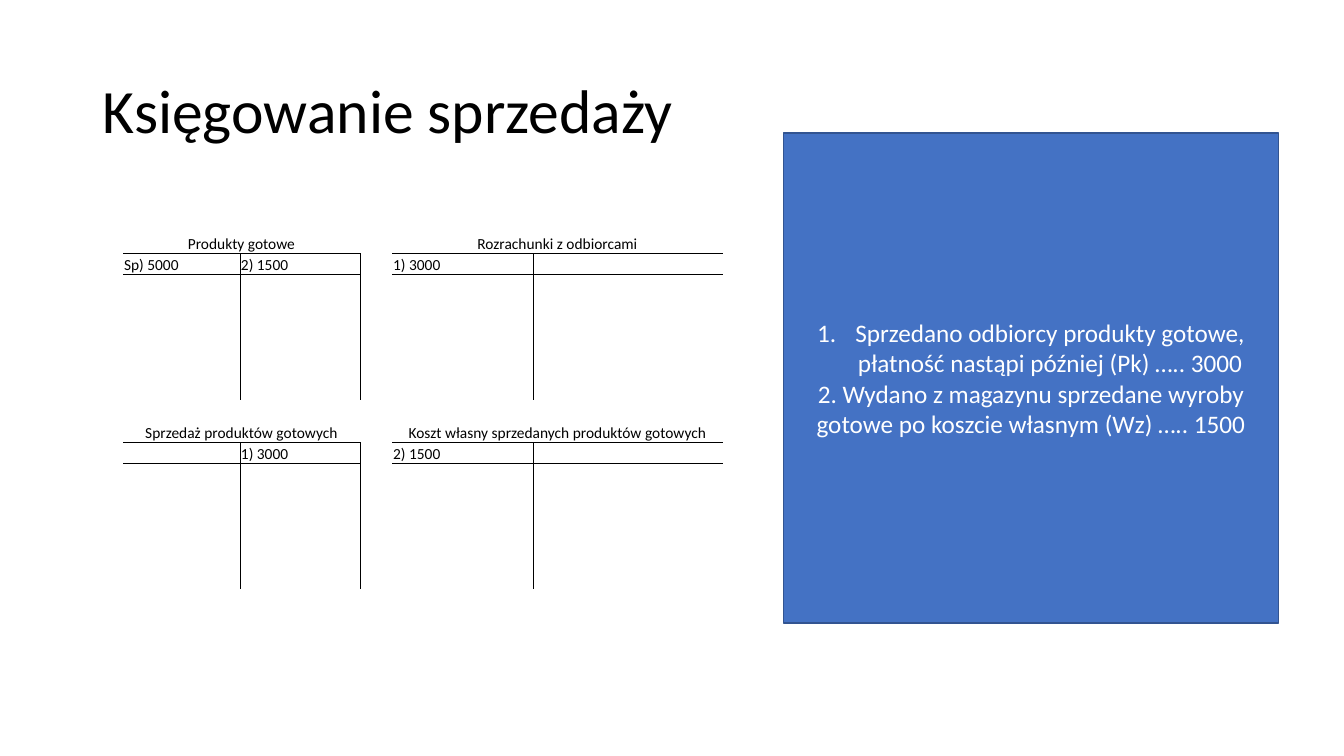
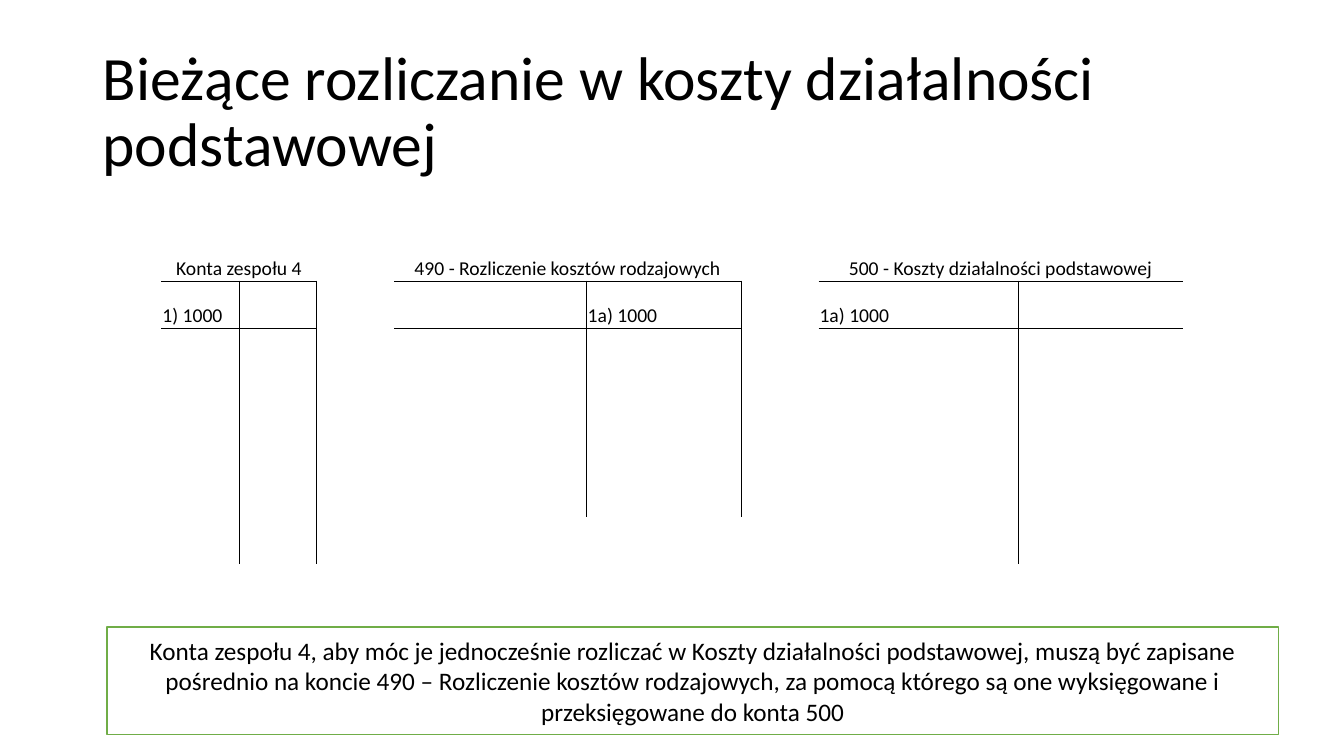
import pptx
import pptx.util
import pptx.dml.color
import pptx.enum.shapes
import pptx.enum.text
import pptx.oxml
import pptx.oxml.ns
from lxml import etree

Inches = pptx.util.Inches
Pt = pptx.util.Pt
qn = pptx.oxml.ns.qn
ALIGN = pptx.enum.text.PP_ALIGN
ANCHOR = pptx.enum.text.MSO_ANCHOR

COLORS = {
    "black": "000000",
    "white": "FFFFFF",
    "blue": "4472C4",
    "navy": "325491",
    "green": "70AD47",
}
FONT = "Calibri"
PLAIN = "{2D5ABB26-0587-4C30-8999-92F81FD0307C}"


def tint(name):
    return pptx.dml.color.RGBColor.from_string(COLORS[name])


def write(para, text, size=18, color="black", align=ALIGN.LEFT, space=None, number=False):
    para.alignment = align
    if space:
        para.line_spacing = space
    if number:
        props = para._p.get_or_add_pPr()
        props.set("marL", str(Inches(0.38)))
        props.set("indent", str(Inches(-0.38)))
        etree.SubElement(props, qn("a:buFont"), typeface="+mj-lt")
        etree.SubElement(props, qn("a:buAutoNum"), type="arabicPeriod")
    if text:
        run = para.add_run()
        run.text = text
        run.font.name = FONT
        run.font.size = Pt(size)
        run.font.color.rgb = tint(color)
    else:
        etree.SubElement(para._p, qn("a:endParaRPr"), sz=str(size * 100))


class Deck:
    def __init__(self):
        self.file = pptx.Presentation()
        self.file.slide_width = Inches(13.33)
        self.file.slide_height = Inches(7.5)
        self.slide = None

    def start(self, title):
        self.slide = self.file.slides.add_slide(self.file.slide_layouts[6])
        box = self.slide.shapes.add_textbox(*map(Inches, (0.92, 0.4, 11.5, 1.45)))
        frame = box.text_frame
        frame.word_wrap = True
        frame.vertical_anchor = ANCHOR.MIDDLE
        write(frame.paragraphs[0], title, size=44, space=0.9)

    def panel(self, place, texts, fill, edge, color, first=False):
        shape = self.slide.shapes.add_shape(
            pptx.enum.shapes.MSO_SHAPE.RECTANGLE, *map(Inches, place))
        shape.shadow.inherit = False
        shape.fill.solid()
        shape.fill.fore_color.rgb = tint(fill)
        shape.line.color.rgb = tint(edge)
        shape.line.width = Pt(1)
        frame = shape.text_frame
        frame.word_wrap = True
        frame.vertical_anchor = ANCHOR.MIDDLE
        for i, text in enumerate(texts):
            para = frame.add_paragraph() if i else frame.paragraphs[0]
            write(para, text, color=color, align=ALIGN.CENTER, number=first and i == 0)

    def ledger(self, left, top, widths, height, count, accounts, size):
        frame = self.slide.shapes.add_table(
            count, len(widths), Inches(left), Inches(top),
            Inches(sum(widths)), Inches(height))
        table = frame.table
        table.first_row = table.horz_banding = False
        table._tbl.tblPr.find(qn("a:tableStyleId")).text = PLAIN
        for col, width in zip(table.columns, widths):
            col.width = Inches(width)
        for row in table.rows:
            row.height = Inches(height / count)
        words, sides = {}, {}
        for row, col, depth, name, debit, credit in accounts:
            table.cell(row, col).merge(table.cell(row, col + 1))
            words[row, col] = name, ALIGN.CENTER
            words[row + 1, col] = debit, ALIGN.LEFT
            words[row + 1, col + 1] = credit, ALIGN.LEFT
            for step, side in enumerate("RL"):
                sides[row, col + step] = "B"
                for line in range(1, depth + 1):
                    sides[row + line, col + step] = side + ("T" if line == 1 else "")
        for row in range(count):
            for col in range(len(widths)):
                text, align = words.get((row, col), ("", ALIGN.LEFT))
                self.cell(table.cell(row, col), text, align, size, sides.get((row, col), ""))

    def cell(self, cell, text, align, size, sides):
        cell.margin_left = cell.margin_right = cell.margin_top = Inches(0.01)
        cell.margin_bottom = 0
        cell.vertical_anchor = ANCHOR.BOTTOM
        write(cell.text_frame.paragraphs[0], text, size=size, align=align)
        props = cell._tc.get_or_add_tcPr()
        for side in "LRTB":
            if side in sides:
                line = etree.SubElement(props, qn("a:ln" + side), w=str(Pt(0.5)))
                fill = etree.SubElement(line, qn("a:solidFill"))
                etree.SubElement(fill, qn("a:srgbClr"), val=COLORS["black"])
        cell.fill.background()


def main():
    deck = Deck()
    deck.start("Księgowanie sprzedaży")
    deck.ledger(1.22, 2.31, (1.16, 1.19, 0.32, 1.4, 1.88), 3.54, 17, (
        (0, 0, 7, "Produkty gotowe", "Sp) 5000", "2) 1500"),
        (0, 3, 7, "Rozrachunki z odbiorcami", "1) 3000", ""),
        (9, 0, 7, "Sprzedaż produktów gotowych", "", "1) 3000"),
        (9, 3, 7, "Koszt własny sprzedanych produktów gotowych", "2) 1500", ""),
    ), 11)
    deck.panel((7.77, 1.32, 4.91, 4.86), (
        "Sprzedano odbiorcy produkty gotowe, płatność nastąpi później (Pk) ….. 3000",
        "2. Wydano z magazynu sprzedane wyroby gotowe po koszcie własnym (Wz) ….. 1500",
    ), "blue", "navy", "white", first=True)

    deck.start("Bieżące rozliczanie w koszty działalności podstawowej")
    deck.ledger(1.6, 1.85, (0.77, 0.77, 0.77, 1.91, 1.53, 0.77, 1.98, 1.63), 4.22, 9, (
        (1, 0, 6, "Konta zespołu 4", "1) 1000", ""),
        (1, 3, 5, "490 - Rozliczenie kosztów rodzajowych", "", "1a) 1000"),
        (1, 6, 6, "500 - Koszty działalności podstawowej", "1a) 1000", ""),
    ), 14)
    deck.panel((1.06, 6.22, 11.62, 1.07), (
        "Konta zespołu 4, aby móc je jednocześnie rozliczać w Koszty działalności "
        "podstawowej, muszą być zapisane pośrednio na koncie 490 – Rozliczenie kosztów "
        "rodzajowych, za pomocą którego są one wyksięgowane i przeksięgowane do konta 500",
    ), "white", "green", "black")
    deck.file.save("out.pptx")


if __name__ == "__main__":
    main()
